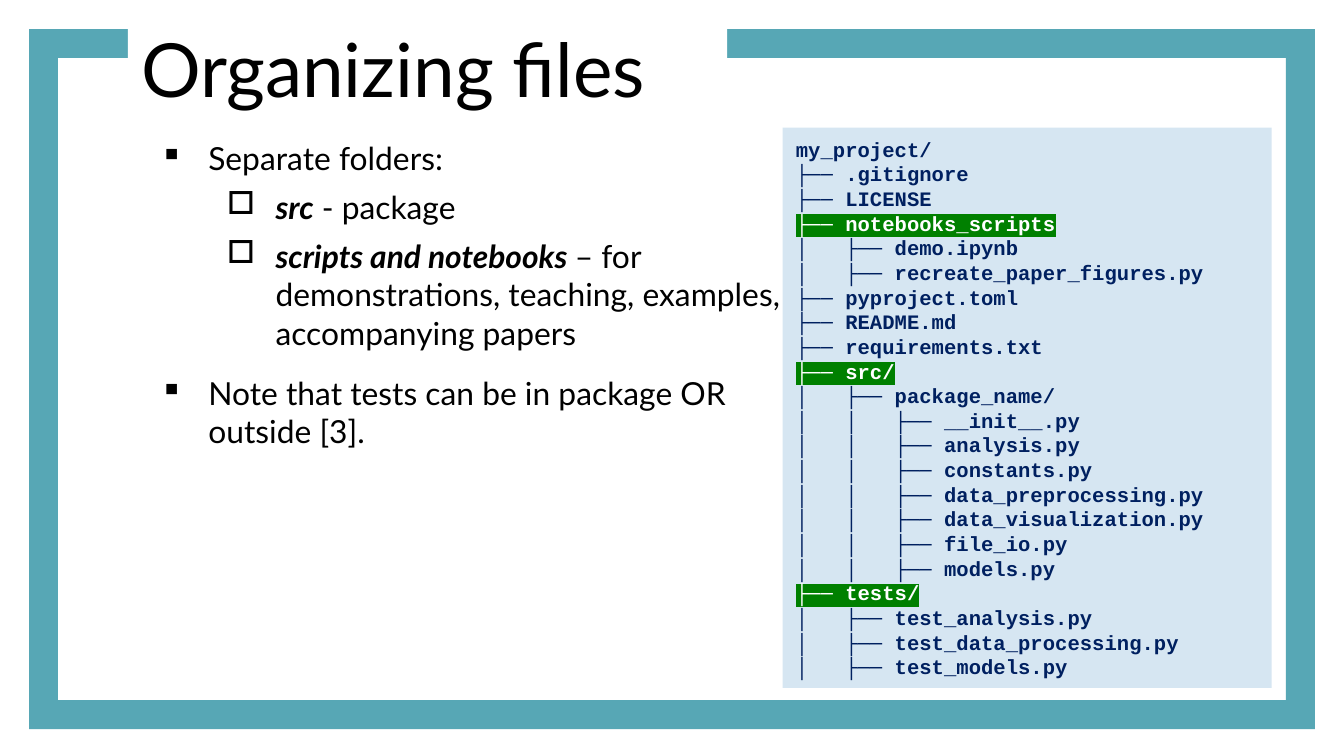
from lxml import etree
from pptx import Presentation
from pptx.dml.color import RGBColor
from pptx.enum import shapes, text
from pptx.oxml.ns import qn
from pptx.util import Pt

TEAL, PALE, NAVY, GREEN = "57A7B5", "D6E6F2", "002060", "008000"
BLACK, WHITE = "000000", "FFFFFF"

POINTS = [
    (0, 6, "", "Separate folders:"),
    (1, 6, "src", " - package"),
    (1, 6, "scripts and notebooks ",
     "– for demonstrations, teaching, examples, accompanying papers"),
    (0, 12, "", "Note that tests can be in package OR outside [3]."),
]
TREE = [
    (0, "my_project/"),
    (1, ".gitignore"),
    (1, "LICENSE"),
    (1, "notebooks_scripts"),
    (2, "demo.ipynb"),
    (2, "recreate_paper_figures.py"),
    (1, "pyproject.toml"),
    (1, "README.md"),
    (1, "requirements.txt"),
    (1, "src/"),
    (2, "package_name/"),
    (3, "__init__.py"),
    (3, "analysis.py"),
    (3, "constants.py"),
    (3, "data_preprocessing.py"),
    (3, "data_visualization.py"),
    (3, "file_io.py"),
    (3, "models.py"),
    (1, "tests/"),
    (2, "test_analysis.py"),
    (2, "test_data_processing.py"),
    (2, "test_models.py"),
]
HIGHLIGHTED = {"notebooks_scripts", "src/", "tests/"}


def color(value):
    return RGBColor.from_string(value)


def set_font(font, name, size, value, bold=None):
    font.name, font.size, font.bold = name, Pt(size), bold
    font.color.rgb = color(value)


def set_insets(frame, across, down):
    frame.margin_left = frame.margin_right = Pt(across)
    frame.margin_top = frame.margin_bottom = Pt(down)
    frame.word_wrap = True


def add_block(slide, preset, box, fill):
    block = slide.shapes.add_shape(preset, *map(Pt, box))
    block.shadow.inherit = False
    block.fill.solid()
    block.fill.fore_color.rgb = color(fill)
    block.line.fill.background()
    return block


def add_border(slide, box, thickness):
    border = add_block(slide, shapes.MSO_SHAPE.FRAME, box, TEAL)
    border.adjustments[0] = thickness / min(box[2:])
    slide.shapes._spTree.insert(2, border._element)


def place_title(slide, box, words):
    title = slide.shapes.title
    title.left, title.top, title.width, title.height = map(Pt, box)
    title.fill.solid()
    title.fill.fore_color.rgb = color(WHITE)
    frame = title.text_frame
    frame.text = words
    set_insets(frame, 7.2, 7.2)
    frame.auto_size = text.MSO_AUTO_SIZE.NONE
    frame.vertical_anchor = text.MSO_ANCHOR.MIDDLE
    heading = frame.paragraphs[0]
    heading.alignment = text.PP_ALIGN.LEFT
    set_font(heading.font, "Lato", 40, BLACK)


def set_bullet(paragraph, level, mark):
    properties = paragraph._p.get_or_add_pPr()
    properties.set("marL", str(Pt(36 * (level + 1))))
    properties.set("indent", str(-Pt(26)))
    bullet = etree.Element(qn("a:buChar"), char=mark)
    properties.find(qn("a:defRPr")).addprevious(bullet)


def add_points(slide, box, points):
    frame = slide.shapes.add_textbox(*map(Pt, box)).text_frame
    set_insets(frame, 7.2, 7.2)
    for number, (level, space, term, words) in enumerate(points):
        point = frame.add_paragraph() if number else frame.paragraphs[0]
        point.level = level
        point.space_before = Pt(space)
        set_font(point.font, "Lato", 17, BLACK)
        set_bullet(point, level, "▪□"[level])
        if term:
            lead = point.add_run()
            lead.text = term
            lead.font.bold = lead.font.italic = True
        point.add_run().text = words


def highlight(run, value):
    run.font.color.rgb = color(WHITE)
    mark = etree.Element(qn("a:highlight"))
    etree.SubElement(mark, qn("a:srgbClr"), val=value)
    run.font._element.find(qn("a:solidFill")).addnext(mark)


def add_tree(slide, box, entries):
    panel = add_block(slide, shapes.MSO_SHAPE.RECTANGLE, box, PALE)
    frame = panel.text_frame
    set_insets(frame, 7.2, 3.6)
    frame.vertical_anchor = text.MSO_ANCHOR.MIDDLE
    for number, (depth, name) in enumerate(entries):
        row = frame.add_paragraph() if number else frame.paragraphs[0]
        row.alignment = text.PP_ALIGN.LEFT
        set_font(row.font, "Courier New", 11, NAVY, True)
        entry = row.add_run()
        entry.text = "│   " * (depth - 1) + "├── " * (depth > 0) + name
        if name in HIGHLIGHTED:
            highlight(entry, GREEN)


def main():
    deck = Presentation()
    deck.slide_width, deck.slide_height = Pt(720), Pt(405)
    slide = deck.slides.add_slide(deck.slide_layouts[5])
    add_border(slide, (15.6, 15.6, 688.8, 375), 15.5)
    place_title(slide, (68.5, 0, 321, 72), "Organizing files")
    add_points(slide, (68.5, 67, 358, 297.5), POINTS)
    add_tree(slide, (419.3, 68.4, 262, 300.2), TREE)
    deck.save("out.pptx")


if __name__ == "__main__":
    main()
